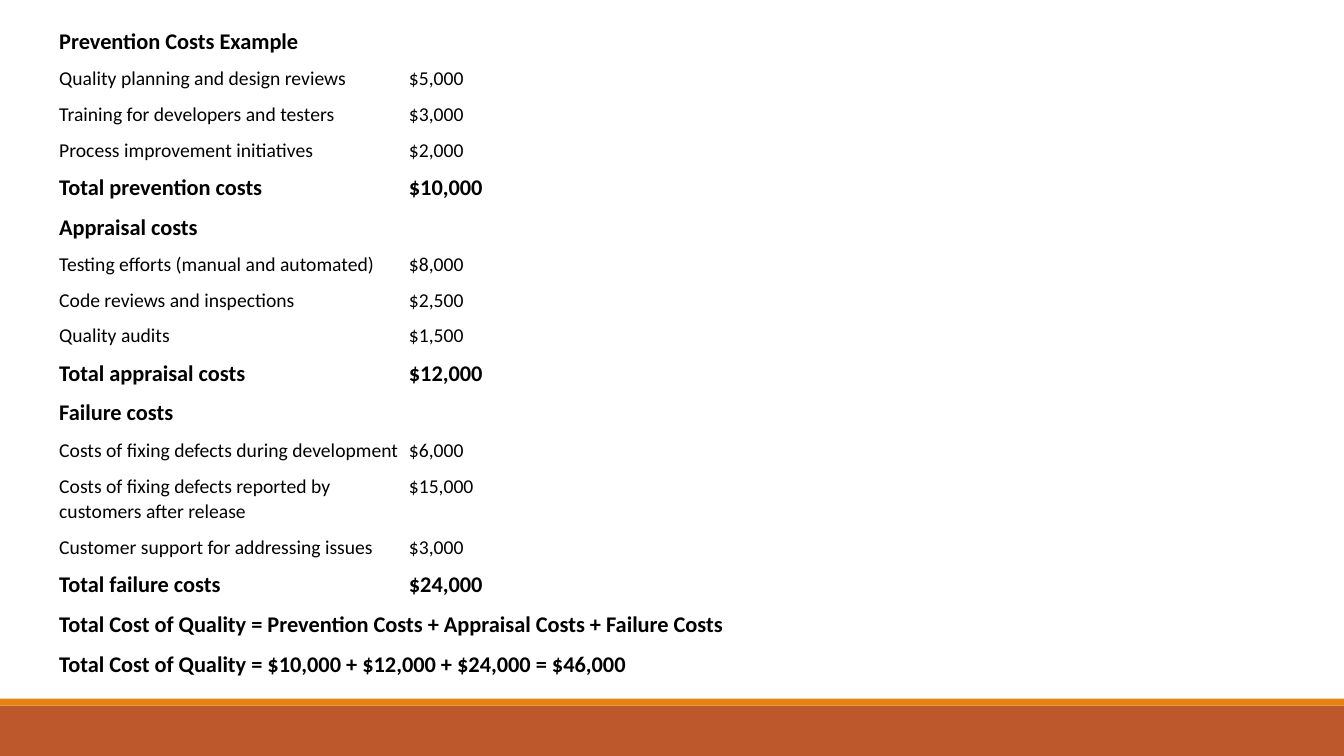
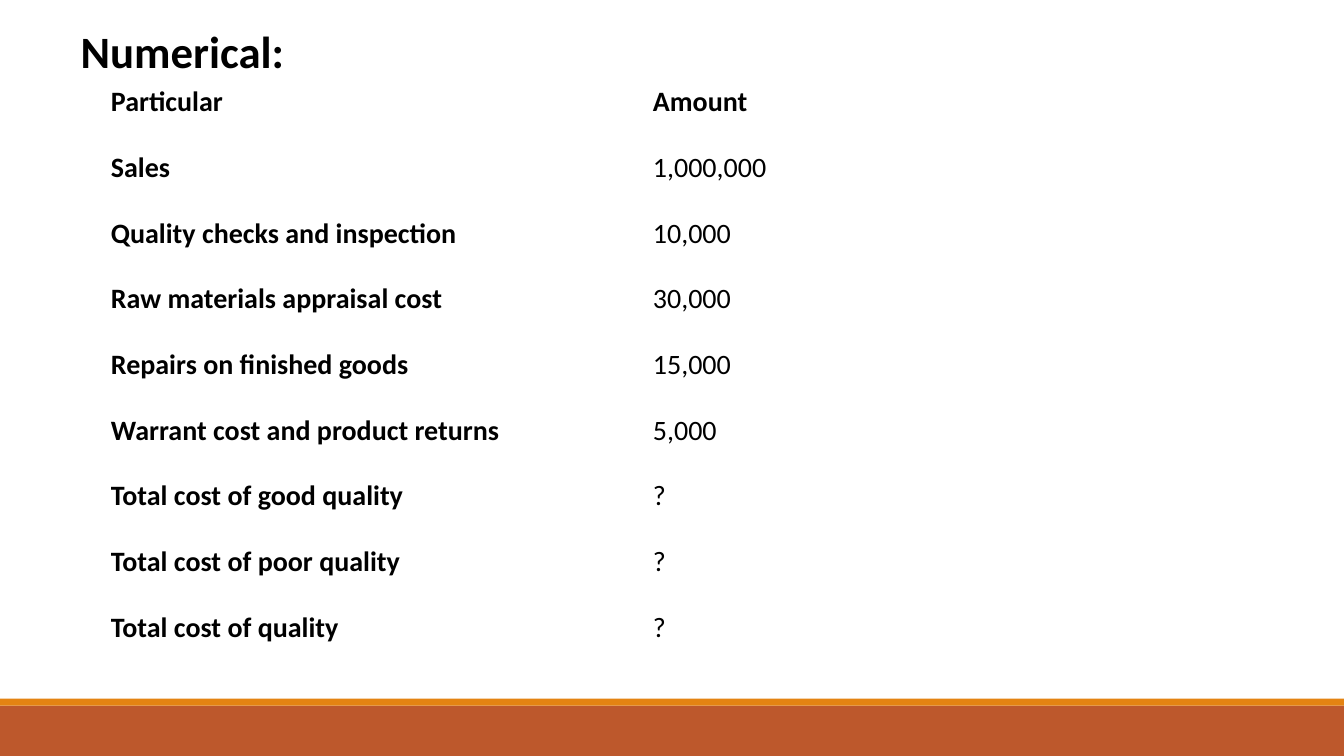
from dataclasses import dataclass

import pptx
import pptx.dml.color
import pptx.enum.shapes
import pptx.enum.text
import pptx.util

Pt = pptx.util.Pt
RGBColor = pptx.dml.color.RGBColor

# Shared look
BLACK = RGBColor(0x00, 0x00, 0x00)
RUST = RGBColor(0xBD, 0x58, 0x2C)
ORANGE = RGBColor(0xE4, 0x83, 0x12)
FONT = "Calibri"
SLIDE_W, SLIDE_H = 960, 540
TITLE_ONLY, BLANK = 5, 6


@dataclass(frozen=True)
class Band:
    top: float
    height: float
    color: RGBColor


@dataclass(frozen=True)
class Style:
    size: float
    bold: bool


@dataclass(frozen=True)
class Row:
    """One table row; a single text spans all columns."""
    texts: tuple[str, ...]
    styles: tuple[Style, ...]
    height: float


@dataclass(frozen=True)
class Grid:
    left: float
    top: float
    height: float
    col_widths: tuple[float, ...]
    insets: dict[str, float]
    rows: list[Row]


BANDS = (Band(504, 36, RUST), Band(499, 5, ORANGE))
TITLE = Style(32, True)
STRONG, ITEM = Style(16, True), Style(14, False)
LABEL, VALUE = Style(20, True), Style(20, False)


def set_attrs(obj: object, values: dict) -> None:
    for name, value in values.items():
        setattr(obj, name, value)


def format_font(font, style: Style) -> None:
    set_attrs(font, {"name": FONT, "size": Pt(style.size), "bold": style.bold})
    font.color.rgb = BLACK


def add_slide(prs, layout: int):
    """Add a slide with the footer bands."""
    s = prs.slides.add_slide(prs.slide_layouts[layout])
    for band in BANDS:
        sp = s.shapes.add_shape(
            pptx.enum.shapes.MSO_SHAPE.RECTANGLE,
            0, Pt(band.top), Pt(SLIDE_W), Pt(band.height))
        sp.shadow.inherit = False
        sp.fill.solid()
        sp.fill.fore_color.rgb = band.color
        sp.line.fill.background()
    return s


def set_title(s, text: str) -> None:
    sp = s.shapes.title
    set_attrs(sp, {"left": Pt(50.4), "top": Pt(13),
                   "width": Pt(480), "height": Pt(46)})
    tf = sp.text_frame
    tf.text = text
    tf.vertical_anchor = pptx.enum.text.MSO_ANCHOR.TOP
    p = tf.paragraphs[0]
    p.alignment = pptx.enum.text.PP_ALIGN.LEFT
    format_font(p.runs[0].font, TITLE)


def fill_cell(cell, text: str, style: Style) -> None:
    tf = cell.text_frame
    tf.text = text
    for p in tf.paragraphs:
        set_attrs(p, {"line_spacing": 1.07, "space_after": Pt(8)})
        for r in p.runs:
            format_font(r.font, style)


def add_grid(s, grid: Grid) -> None:
    frame = s.shapes.add_table(
        len(grid.rows), len(grid.col_widths), Pt(grid.left), Pt(grid.top),
        Pt(sum(grid.col_widths)), Pt(grid.height))
    table = frame.table
    table.horz_banding = False
    for col, width in zip(table.columns, grid.col_widths):
        col.width = Pt(width)
    for i, row in enumerate(grid.rows):
        table.rows[i].height = Pt(row.height)
        cells = list(table.rows[i].cells)
        for cell in cells:
            cell.fill.background()
            set_attrs(cell, {f"margin_{side}": Pt(inset)
                             for side, inset in grid.insets.items()})
        if len(row.texts) == 1:
            cells[0].merge(cells[-1])
        for cell, text, style in zip(cells, row.texts, row.styles):
            fill_cell(cell, text, style)
    frame.height = Pt(grid.height)


# Cost example: each section has a heading, items and a total
COST_SECTIONS = (
    ("Prevention Costs Example",
     (("Quality planning and design reviews", "$5,000"),
      ("Training for developers and testers", "$3,000"),
      ("Process improvement initiatives", "$2,000")),
     ("Total prevention costs", "$10,000")),
    ("Appraisal costs",
     (("Testing efforts (manual and automated)", "$8,000"),
      ("Code reviews and inspections", "$2,500"),
      ("Quality audits", "$1,500")),
     ("Total appraisal costs", "$12,000")),
    ("Failure costs",
     (("Costs of fixing defects during development", "$6,000"),
      ("Costs of fixing defects reported by customers after release",
       "$15,000"),
      ("Customer support for addressing issues", "$3,000")),
     ("Total failure costs", "$24,000")),
)
COST_SUMMARY = (
    "Total Cost of Quality = Prevention Costs + Appraisal Costs + Failure Costs\n"
    "Total Cost of Quality = $10,000 + $12,000 + $24,000 = $46,000")

# Exercise figures
FIGURES = (
    ("Sales", "1,000,000"),
    ("Quality checks and inspection", "10,000"),
    ("Raw materials appraisal cost", "30,000"),
    ("Repairs on finished goods", "15,000"),
    ("Warrant cost and product returns", "5,000"),
    ("Total cost of good quality", "?"),
    ("Total cost of poor quality", "?"),
    ("Total cost of quality", "?"),
)


def cost_example(prs) -> None:
    row_h = 14.4
    rows = []
    for heading, items, total in COST_SECTIONS:
        rows.append(Row((heading,), (STRONG,), row_h))
        rows += [Row(item, (ITEM, ITEM), row_h) for item in items]
        rows.append(Row(total, (STRONG, STRONG), row_h))
    rows.append(Row((COST_SUMMARY,), (STRONG,), 60))
    insets = {"left": 2, "top": 3.6, "right": 2, "bottom": 3.6}
    add_grid(add_slide(prs, BLANK),
             Grid(40.3, 15.1, 463, (249.8, 248.4), insets, rows))


def numerical(prs) -> None:
    s = add_slide(prs, TITLE_ONLY)
    set_title(s, "Numerical:")
    row_h = 46.95
    rows = [Row(("Particular", "Amount"), (LABEL, LABEL), row_h)]
    rows += [Row(figure, (LABEL, VALUE), row_h) for figure in FIGURES]
    insets = {"left": 5, "top": 0.7, "right": 5, "bottom": 0}
    add_grid(s, Grid(74.2, 58.3, row_h * len(rows), (387.2, 387.2),
                     insets, rows))


def main() -> None:
    prs = pptx.Presentation()
    prs.slide_width, prs.slide_height = Pt(SLIDE_W), Pt(SLIDE_H)
    cost_example(prs)
    numerical(prs)
    prs.save("out.pptx")


if __name__ == "__main__":
    main()
